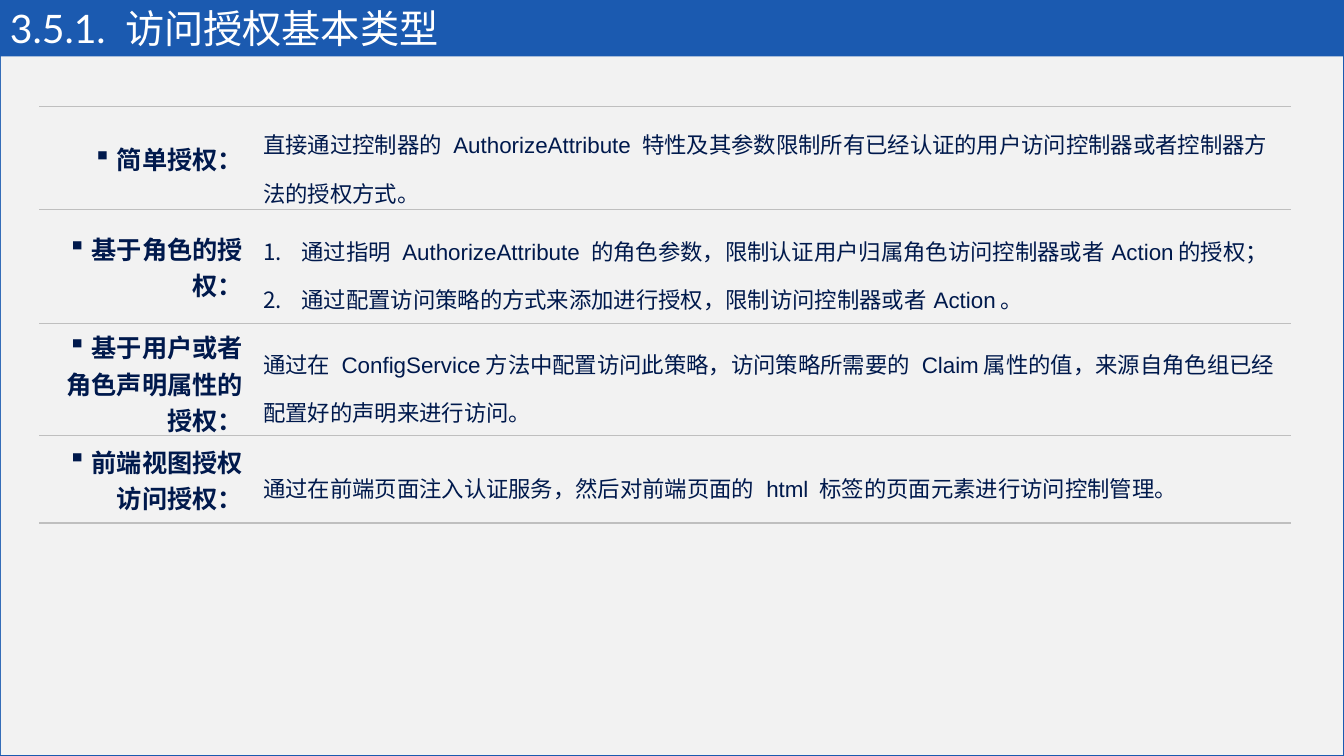
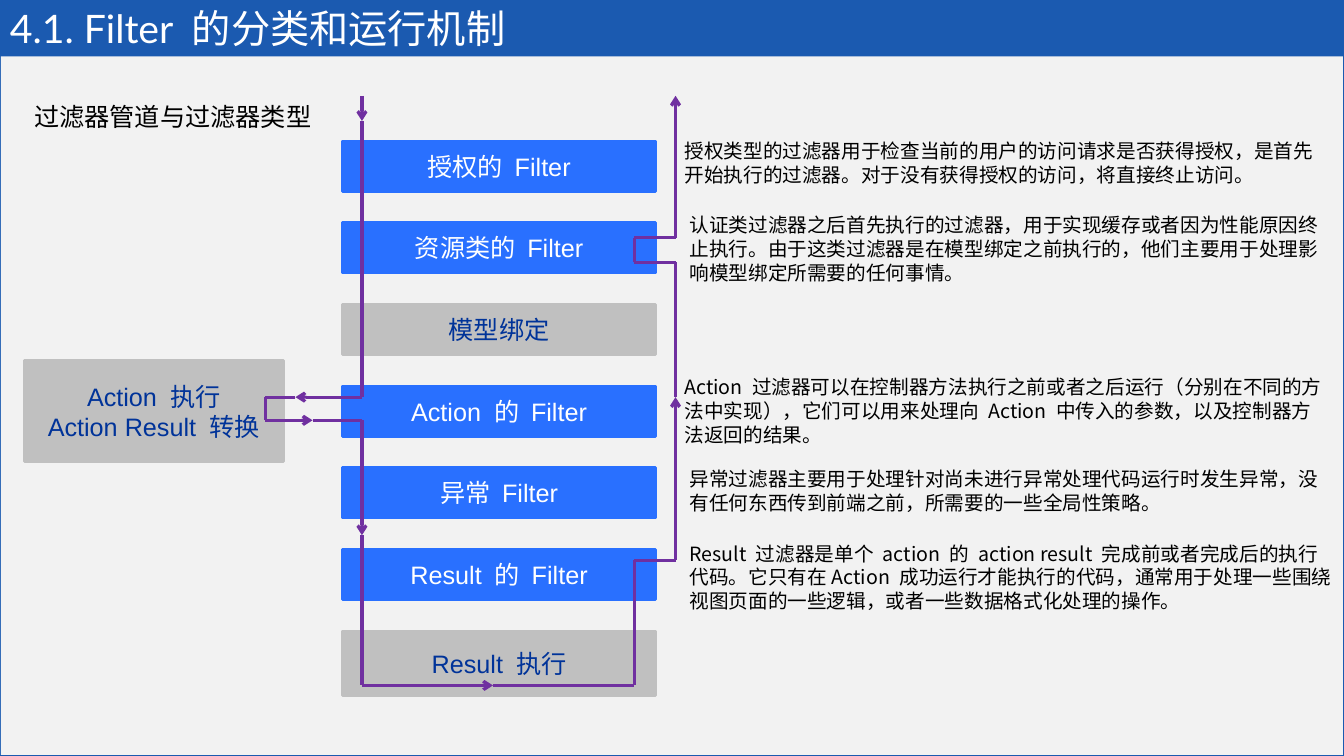
from dataclasses import dataclass
from itertools import pairwise

from lxml import etree
from pptx import Presentation
from pptx.dml.color import RGBColor
from pptx.enum.shapes import MSO_CONNECTOR, MSO_SHAPE
from pptx.enum.text import MSO_ANCHOR, PP_ALIGN
from pptx.oxml.ns import qn
from pptx.util import Inches, Pt

RECTANGLE = MSO_SHAPE.RECTANGLE
STRAIGHT = MSO_CONNECTOR.STRAIGHT
TOP, MIDDLE = MSO_ANCHOR.TOP, MSO_ANCHOR.MIDDLE
LEFT, CENTER, RIGHT = PP_ALIGN.LEFT, PP_ALIGN.CENTER, PP_ALIGN.RIGHT

# Shared palette and fonts
BAND_BLUE = "1B5AB0"
PANEL_GRAY = "F2F2F2"
WHITE = "FFFFFF"
BLACK = "000000"
NAVY = "00194C"
RULE_GRAY = "BFBFBF"
FILTER_BLUE = "2970FF"
STEP_GRAY = "C0C0C0"
STEP_TEXT = "003399"
FLOW_PURPLE = "7030A0"
CHINESE_FONT = "Noto Sans CJK SC"


@dataclass(frozen=True)
class TextStyle:
    size: float
    color: str
    font: str = "Arial"
    bold: bool = False
    align: PP_ALIGN = LEFT
    spacing: float | Pt | None = None
    bullet: str = ""
    numbered: bool = False


@dataclass(frozen=True)
class Box:
    left: float
    top: float
    width: float
    height: float

    def lengths(self) -> tuple:
        return tuple(map(Inches, (self.left, self.top, self.width, self.height)))


@dataclass(frozen=True)
class AuthorizationRow:
    label: str
    details: tuple[str, ...]
    height: float


@dataclass(frozen=True)
class Step:
    text: str
    is_filter: bool = True
    height: float = 0.5


@dataclass(frozen=True)
class Note:
    text: str
    left: float
    top: float
    height: float


TITLE_STYLE = TextStyle(28, WHITE, "Lato")
LABEL_STYLE = TextStyle(18, NAVY, bold=True, align=RIGHT, bullet="▪")
DETAIL_STYLE = TextStyle(16, NAVY, spacing=1.5)
NUMBERED_STYLE = TextStyle(16, NAVY, spacing=1.5, numbered=True)
FILTER_STYLE = TextStyle(18, WHITE, align=CENTER)
STEP_STYLE = TextStyle(18, STEP_TEXT, align=CENTER)
HEADING_STYLE = TextStyle(18, BLACK, CHINESE_FONT, spacing=Pt(22))
NOTE_STYLE = TextStyle(14, BLACK, CHINESE_FONT, spacing=Pt(17))

# Slide content
AUTHORIZATION_ROWS = (
    AuthorizationRow(
        "简单授权：",
        ("直接通过控制器的 AuthorizeAttribute 特性及其参数限制所有已经认证的用户访问控制器或者控制器方法的授权方式。",),
        1.02),
    AuthorizationRow(
        "基于角色的授权：",
        ("通过指明 AuthorizeAttribute 的角色参数，限制认证用户归属角色访问控制器或者Action的授权；",
         "通过配置访问策略的方式来添加进行授权，限制访问控制器或者Action。"),
        1.13),
    AuthorizationRow(
        "基于用户或者角色声明属性的授权：",
        ("通过在 ConfigService方法中配置访问此策略，访问策略所需要的 Claim属性的值，来源自角色组已经配置好的声明来进行访问。",),
        1.11),
    AuthorizationRow(
        "前端视图授权访问授权：",
        ("通过在前端页面注入认证服务，然后对前端页面的 html 标签的页面元素进行访问控制管理。",),
        0.87),
)
COLUMN_WIDTHS = (2.12, 10.29)

STEPS = (
    Step("授权的 Filter"),
    Step("资源类的 Filter"),
    Step("模型绑定", is_filter=False),
    Step("Action 的 Filter"),
    Step("异常 Filter"),
    Step("Result 的 Filter"),
    Step("Result 执行", is_filter=False, height=0.64),
)
STEP_TOP, STEP_PITCH = 1.4, 0.81

NOTES = (
    Note("授权类型的过滤器用于检查当前的用户的访问请求是否获得授权，是首先开始执行的过滤器。对于没有获得授权的访问，将直接终止访问。",
         6.69, 1.33, 0.57),
    Note("认证类过滤器之后首先执行的过滤器，用于实现缓存或者因为性能原因终止执行。由于这类过滤器是在模型绑定之前执行的，他们主要用于处理影响模型绑定所需要的任何事情。",
         6.74, 2.06, 0.81),
    Note("Action 过滤器可以在控制器方法执行之前或者之后运行（分别在不同的方法中实现），它们可以用来处理向 Action 中传入的参数，以及控制器方法返回的结果。",
         6.69, 3.67, 0.81),
    Note("异常过滤器主要用于处理针对尚未进行异常处理代码运行时发生异常，没有任何东西传到前端之前，所需要的一些全局性策略。",
         6.74, 4.58, 0.57),
    Note("Result 过滤器是单个 action 的 action result 完成前或者完成后的执行代码。它只有在Action 成功运行才能执行的代码，通常用于处理一些围绕视图页面的一些逻辑，或者一些数据格式化处理的操作。",
         6.74, 5.32, 0.81),
)

# Request flow: each leg ends in an arrowhead where the next one starts
DOWN_X, ACTION_X, INNER_X, UP_X = 3.59, 2.63, 6.29, 6.7
FLOW_LEGS = (
    ((DOWN_X, 0.95), (DOWN_X, 1.2)),
    ((DOWN_X, 1.2), (DOWN_X, 3.94), (2.93, 3.94)),
    ((2.93, 3.94), (ACTION_X, 3.94), (ACTION_X, 4.17), (3.1, 4.17)),
    ((3.1, 4.17), (DOWN_X, 4.17), (DOWN_X, 5.31)),
    ((DOWN_X, 5.31), (DOWN_X, 6.8), (4.89, 6.8)),
    ((4.89, 6.8), (INNER_X, 6.8), (INNER_X, 5.56), (UP_X, 5.56), (UP_X, 3.94)),
    ((UP_X, 3.94), (UP_X, 2.6), (INNER_X, 2.6), (INNER_X, 2.36), (UP_X, 2.36), (UP_X, 0.95)),
)


def rgb(color: str) -> RGBColor:
    return RGBColor.from_string(color)


# Text
def add_bullet(paragraph, style: TextStyle) -> None:
    properties = paragraph._p.get_or_add_pPr()
    if style.numbered:
        properties.set("marL", str(Inches(0.38)))
        properties.set("indent", str(-Inches(0.38)))
        etree.SubElement(properties, qn("a:buFont"), typeface=CHINESE_FONT)
        etree.SubElement(properties, qn("a:buAutoNum"), type="arabicPeriod")
    elif style.bullet:
        etree.SubElement(properties, qn("a:buChar"), char=style.bullet)


def write_text(text_frame, lines: tuple[str, ...], style: TextStyle) -> None:
    for index, line in enumerate(lines):
        paragraph = text_frame.add_paragraph() if index else text_frame.paragraphs[0]
        paragraph.text = line
        paragraph.alignment = style.align
        if style.spacing is not None:
            paragraph.line_spacing = style.spacing
        add_bullet(paragraph, style)
        paragraph.font.size = Pt(style.size)
        paragraph.font.bold = style.bold
        paragraph.font.color.rgb = rgb(style.color)
        paragraph.font.name = style.font
        default_run = paragraph._p.pPr.find(qn("a:defRPr"))
        etree.SubElement(default_run, qn("a:ea"), typeface=CHINESE_FONT)


def add_text(slide, box: Box, text: str, style: TextStyle,
             anchor: MSO_ANCHOR = TOP, wrap: bool = True, inset: float = 0.05) -> None:
    text_frame = slide.shapes.add_textbox(*box.lengths()).text_frame
    text_frame.word_wrap = wrap
    text_frame.vertical_anchor = anchor
    text_frame.margin_top = text_frame.margin_bottom = Inches(inset)
    write_text(text_frame, (text,), style)


# Shapes and lines
def add_rectangle(slide, box: Box, color: str, outlined: bool = True):
    shape = slide.shapes.add_shape(RECTANGLE, *box.lengths())
    shape.shadow.inherit = False
    shape.fill.solid()
    shape.fill.fore_color.rgb = rgb(color)
    if outlined:
        shape.line.color.rgb = rgb(color)
        shape.line.width = Pt(2)
    else:
        shape.line.fill.background()
    return shape


def add_step(slide, box: Box, lines: tuple[str, ...], is_filter: bool) -> None:
    shape = add_rectangle(slide, box, FILTER_BLUE if is_filter else STEP_GRAY)
    shape.text_frame.vertical_anchor = MIDDLE
    shape.text_frame.word_wrap = True
    write_text(shape.text_frame, lines, FILTER_STYLE if is_filter else STEP_STYLE)


def add_flow_leg(slide, points: tuple[tuple[float, float], ...]) -> None:
    for start, end in pairwise(points):
        connector = slide.shapes.add_connector(STRAIGHT, *map(Inches, start + end))
        connector.line.color.rgb = rgb(FLOW_PURPLE)
        connector.line.width = Pt(2.25)
        properties = connector._element.spPr
        if end == points[-1]:
            etree.SubElement(properties.find(qn("a:ln")), qn("a:tailEnd"), type="arrow")
        etree.SubElement(properties, qn("a:effectLst"))


# Table cells
def style_cell(cell) -> None:
    cell.vertical_anchor = MIDDLE
    properties = cell._tc.get_or_add_tcPr()
    for side in ("lnL", "lnR", "lnT", "lnB"):
        border = etree.SubElement(properties, qn(f"a:{side}"), w=str(Pt(1)))
        if side in ("lnT", "lnB"):
            fill = etree.SubElement(border, qn("a:solidFill"))
            etree.SubElement(fill, qn("a:srgbClr"), val=RULE_GRAY)
        else:
            etree.SubElement(border, qn("a:noFill"))
    cell.fill.background()


# Slides
def add_base_slide(presentation, title: str):
    slide = presentation.slides.add_slide(presentation.slide_layouts[6])
    slide.background.fill.solid()
    slide.background.fill.fore_color.rgb = rgb(BAND_BLUE)
    add_rectangle(slide, Box(0.01, 0.56, 13.31, 6.93), PANEL_GRAY, outlined=False)
    add_text(slide, Box(0, 0.01, 13.33, 0.54), title, TITLE_STYLE, MIDDLE, inset=0)
    return slide


def build_authorization_slide(presentation) -> None:
    slide = add_base_slide(presentation, "3.5.1. 访问授权基本类型")
    box = Box(0.39, 1.06, sum(COLUMN_WIDTHS), sum(row.height for row in AUTHORIZATION_ROWS))
    table = slide.shapes.add_table(
        len(AUTHORIZATION_ROWS), len(COLUMN_WIDTHS), *box.lengths()).table
    table.first_row = table.horz_banding = False
    for column, width in zip(table.columns, COLUMN_WIDTHS):
        column.width = Inches(width)
    for table_row, row in zip(table.rows, AUTHORIZATION_ROWS):
        table_row.height = Inches(row.height)
        label_cell, detail_cell = table_row.cells
        detail_style = NUMBERED_STYLE if len(row.details) > 1 else DETAIL_STYLE
        write_text(label_cell.text_frame, (row.label,), LABEL_STYLE)
        write_text(detail_cell.text_frame, row.details, detail_style)
        style_cell(label_cell)
        style_cell(detail_cell)


def build_filter_slide(presentation) -> None:
    slide = add_base_slide(presentation, "4.1. Filter 的分类和运行机制")
    for index, step in enumerate(STEPS):
        box = Box(3.4, STEP_TOP + index * STEP_PITCH, 3.1, step.height)
        add_step(slide, box, (step.text,), step.is_filter)
    add_step(slide, Box(0.24, 3.58, 2.57, 1), ("Action 执行", "Action Result 转换"), False)
    for leg in FLOW_LEGS:
        add_flow_leg(slide, leg)
    add_text(slide, Box(0.24, 0.95, 2.98, 0.4), "过滤器管道与过滤器类型", HEADING_STYLE, wrap=False)
    for note in NOTES:
        add_text(slide, Box(note.left, note.top, 6.59, note.height), note.text, NOTE_STYLE)


def main() -> None:
    presentation = Presentation()
    presentation.slide_width = Inches(13.33)
    presentation.slide_height = Inches(7.5)
    build_authorization_slide(presentation)
    build_filter_slide(presentation)
    presentation.save("out.pptx")


if __name__ == "__main__":
    main()
